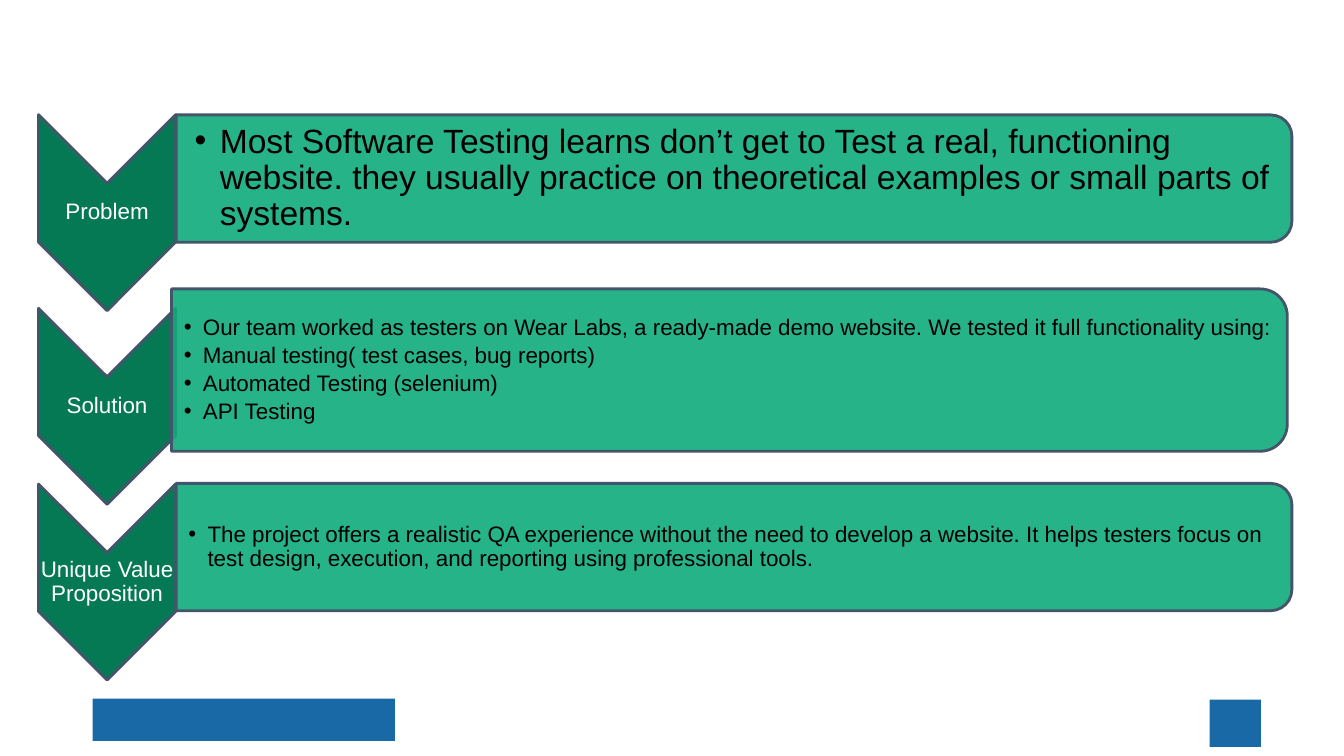
from dataclasses import dataclass

from lxml import etree
from pptx import Presentation
from pptx.dml.color import RGBColor
from pptx.enum.shapes import MSO_SHAPE as Shape
from pptx.enum.text import MSO_ANCHOR as Anchor, PP_ALIGN as Align
from pptx.oxml.ns import qn
from pptx.util import Pt


@dataclass(frozen=True)
class Theme:
    """Colours and type of the slide."""
    font: str = "Arial"
    small: int = 16
    large: int = 24
    dark: str = "057954"
    green: str = "0FAB7C"
    outline: str = "44546A"
    blue: str = "1869A6"
    white: str = "FFFFFF"
    black: str = "000000"


class Deck:
    """Draws styled elements on the current slide."""

    def __init__(self, prs, theme):
        self.theme = theme
        self.s = prs.slides.add_slide(prs.slide_layouts[6])

    def shape(self, kind, x, y, w, h, color, line=True):
        """Add a filled shape, with or without an outline."""
        sp = self.s.shapes.add_shape(kind, Pt(x), Pt(y), Pt(w), Pt(h))
        sp.shadow.inherit = False
        sp.fill.solid()
        sp.fill.fore_color.rgb = RGBColor.from_string(color)
        if line:
            sp.line.color.rgb = RGBColor.from_string(self.theme.outline)
            sp.line.width = Pt(2)
        else:
            sp.line.fill.background()
        return sp

    def turned(self, kind, cx, cy, length, breadth, color):
        """Add a shape turned clockwise by a quarter around its centre."""
        sp = self.shape(kind, cx - length / 2, cy - breadth / 2, length, breadth, color)
        sp.rotation = 90
        return sp

    def text(self, lines, x, cy, w, h, size, color, inset, left, after):
        """Add a vertically centred text box and return its paragraphs."""
        tf = self.s.shapes.add_textbox(Pt(x), Pt(cy - h / 2), Pt(w), Pt(h)).text_frame
        tf.word_wrap = True
        tf.vertical_anchor = Anchor.MIDDLE
        tf.margin_left = Pt(left)
        tf.margin_right = tf.margin_top = tf.margin_bottom = Pt(inset)
        tf.text = "\n".join(lines)
        for p in tf.paragraphs:
            p.line_spacing = 0.9
            p.space_after = Pt(after)
            for r in p.runs:
                r.font.name = self.theme.font
                r.font.size = Pt(size)
                r.font.color.rgb = RGBColor.from_string(color)
        return tf.paragraphs

    def chevron(self, label, cy):
        """Add a downward chevron with its label."""
        t = self.theme
        cx, breadth = 76.5, 98
        self.turned(Shape.CHEVRON, cx, cy, 140, breadth, t.dark)
        for p in self.text([label], cx - breadth / 2, cy, breadth, 42,
                           t.small, t.white, 0.7, 0.7, 5.6):
            p.alignment = Align.CENTER

    def panel(self, lines, cx, cy, height, size):
        """Add a panel rounded on the right with bulleted text."""
        t = self.theme
        width = 797
        sp = self.turned(Shape.ROUND_2_SAME_RECTANGLE, cx, cy, height, width, t.green)
        rgb = sp.fill._xPr.find(qn("a:solidFill"))[0]
        etree.SubElement(rgb, qn("a:alpha"), val="90000")
        indent = 18 if size == t.large else 13.7
        for p in self.text(lines, cx - width / 2, cy, width - 4.5, height * 0.9,
                           size, t.black, size / 16, size * 0.55, size * 0.175):
            p.level = 1
            pPr = p._p.get_or_add_pPr()
            pPr.set("marL", str(Pt(indent)))
            pPr.set("indent", str(-Pt(indent)))
            etree.SubElement(pPr, qn("a:buFont"), typeface=t.font)
            etree.SubElement(pPr, qn("a:buChar"), char="•")


def main():
    """Build and save the slide."""
    prs = Presentation()
    prs.slide_width, prs.slide_height = Pt(960), Pt(540)
    t = Theme()
    deck = Deck(prs, t)
    for x, y, w, h in ((66.2, 499, 216, 30.2), (864, 499.7, 36.7, 33.8)):
        deck.shape(Shape.RECTANGLE, x, y, w, h, t.blue, line=False)
    rows = (
        ("Problem", 151.9, 524.3, 127.6, 91, t.large, [
            "Most Software Testing learns don’t get to Test a real, functioning website. "
            "they usually practice on theoretical examples or small parts of systems."]),
        ("Solution", 290.2, 521, 264.4, 116, t.small, [
            "Our team worked as testers on Wear Labs, a ready-made demo website. "
            "We tested it full functionality using:",
            "Manual testing( test cases, bug reports)",
            "Automated Testing (selenium)",
            "API Testing"]),
        ("Unique Value Proposition", 415.7, 524.3, 390.8, 91, t.small, [
            "The project offers a realistic QA experience without the need to develop a website. "
            "It helps testers focus on test design, execution, and reporting using "
            "professional tools."]),
    )
    for label, label_y, cx, cy, height, size, lines in rows:
        deck.chevron(label, label_y)
        deck.panel(lines, cx, cy, height, size)
    prs.save("out.pptx")


if __name__ == "__main__":
    main()
